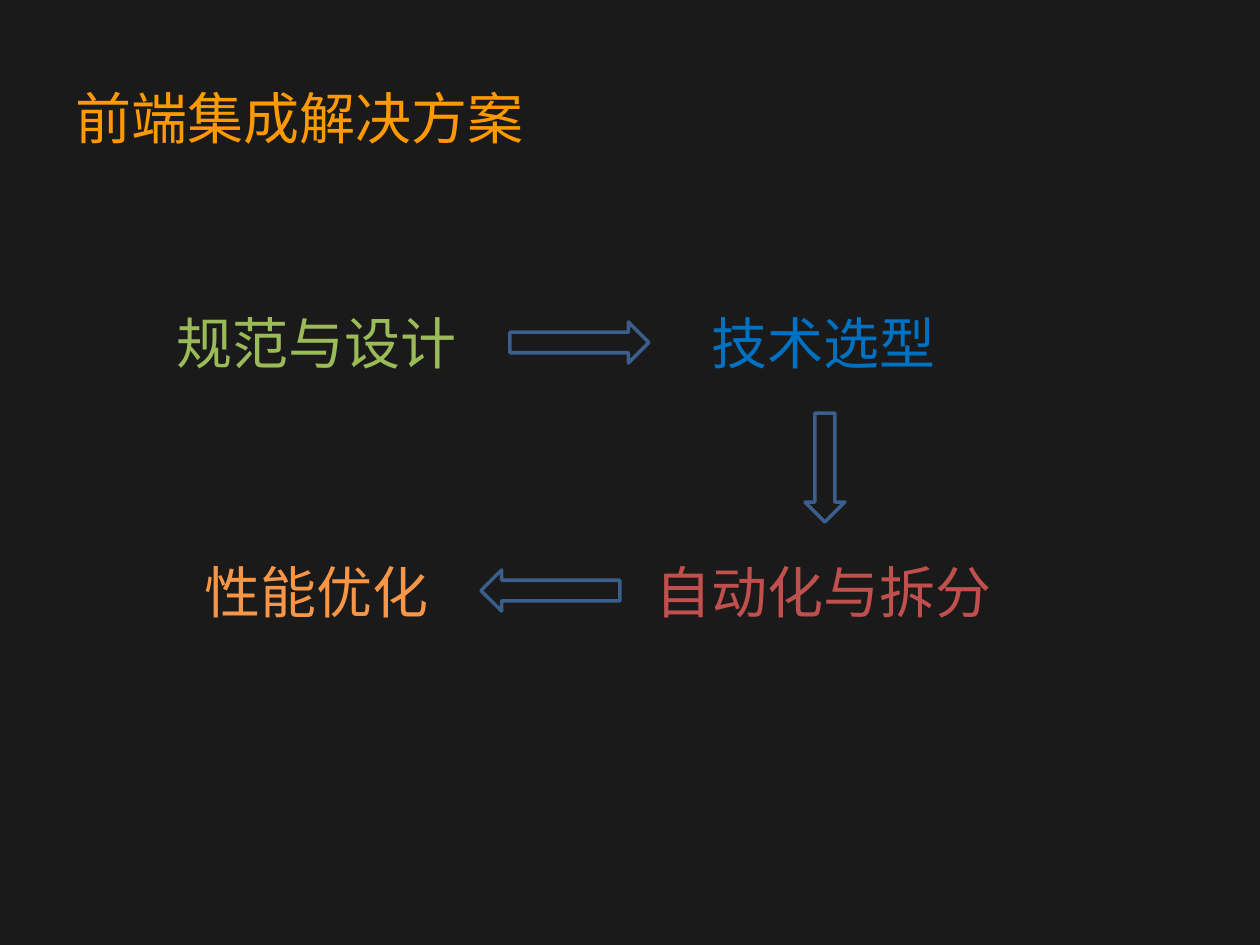
"""Build a slide that shows the four steps of a front-end solution as a loop."""
from dataclasses import dataclass

from pptx import Presentation
from pptx import util as u
from pptx.dml.color import RGBColor
from pptx.enum import shapes, text
from pptx.oxml import ns, xmlchemy

PX = u.Inches(1) / 126
FONT = "Noto Sans CJK SC"
DARK = RGBColor(0x1A, 0x1A, 0x1A)
GOLD = RGBColor(0xFF, 0x99, 0x00)
GREEN = RGBColor(0x9B, 0xBB, 0x59)
BLUE = RGBColor(0x00, 0x70, 0xC0)
RED = RGBColor(0xC0, 0x50, 0x4D)
AMBER = RGBColor(0xF7, 0x96, 0x46)
STEEL = RGBColor(0x3A, 0x5F, 0x8C)
RIGHT = shapes.MSO_SHAPE.RIGHT_ARROW
DOWN = shapes.MSO_SHAPE.DOWN_ARROW
TOP, LOW, HIGH = 302, 551, 81


@dataclass
class Box:
    x: int
    y: int
    w: int
    h: int


@dataclass
class Label:
    words: str
    box: Box
    color: RGBColor
    wrap: bool = False


@dataclass
class Arrow:
    kind: shapes.MSO_SHAPE
    box: Box
    turn: int = 0


LABELS = [
    Label("前端集成解决方案", Box(63, 38, 1134, 158), GOLD, True),
    Label("规范与设计", Box(164, TOP, 309, HIGH), GREEN),
    Label("技术选型", Box(699, TOP, 252, HIGH), BLUE),
    Label("自动化与拆分", Box(643, LOW, 364, HIGH), RED),
    Label("性能优化", Box(192, LOW, 252, HIGH), AMBER),
]
ARROWS = [
    Arrow(RIGHT, Box(510, 322, 139, 41)),
    Arrow(DOWN, Box(805, 413, 40, 109)),
    Arrow(RIGHT, Box(481, 570, 139, 41), 180),
]


def scale(box: Box) -> list[u.Emu]:
    """Turn a box in px into EMU lengths."""
    return [u.Emu(round(n * PX)) for n in (box.x, box.y, box.w, box.h)]


def write(slide, label: Label) -> None:
    """Add one line of coloured text."""
    frame = slide.shapes.add_textbox(*scale(label.box)).text_frame
    frame.word_wrap = label.wrap
    frame.vertical_anchor = text.MSO_ANCHOR.MIDDLE
    para = frame.paragraphs[0]
    para.text = label.words
    font = para.font
    font.size = u.Pt(32)
    font.color.rgb = label.color
    font.name = FONT
    east = xmlchemy.OxmlElement("a:ea")
    east.set("typeface", FONT)
    para._p.pPr.find(ns.qn("a:defRPr")).append(east)


def point(slide, arrow: Arrow) -> None:
    """Add one hollow block arrow."""
    shape = slide.shapes.add_shape(arrow.kind, *scale(arrow.box))
    shape.rotation = arrow.turn
    shape.shadow.inherit = False
    shape.fill.background()
    shape.line.color.rgb = STEEL
    shape.line.width = u.Pt(2)


def main() -> None:
    """Draw the slide and save it."""
    deck = Presentation()
    deck.slide_width, deck.slide_height = u.Inches(10), u.Inches(7.5)
    slide = deck.slides.add_slide(deck.slide_layouts[6])
    fill = slide.background.fill
    fill.solid()
    fill.fore_color.rgb = DARK
    for label in LABELS:
        write(slide, label)
    for arrow in ARROWS:
        point(slide, arrow)
    deck.save("out.pptx")


if __name__ == "__main__":
    main()
